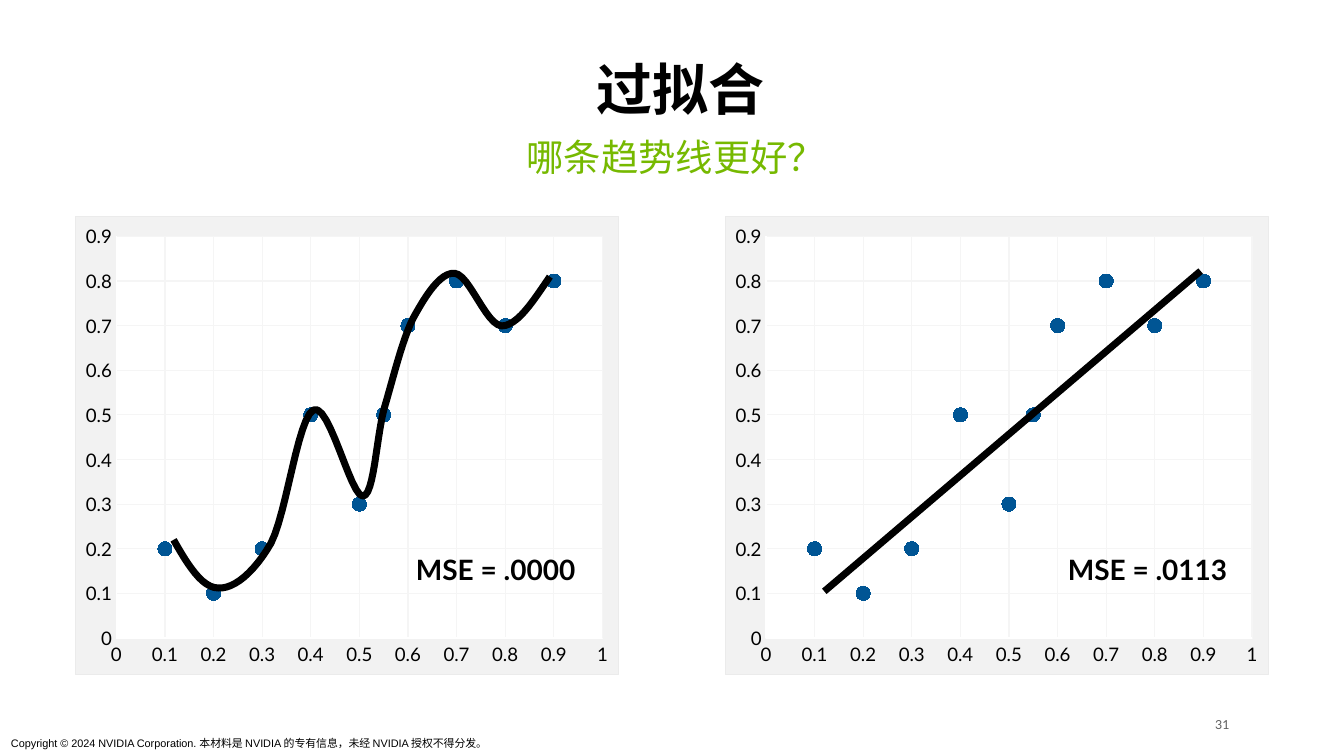
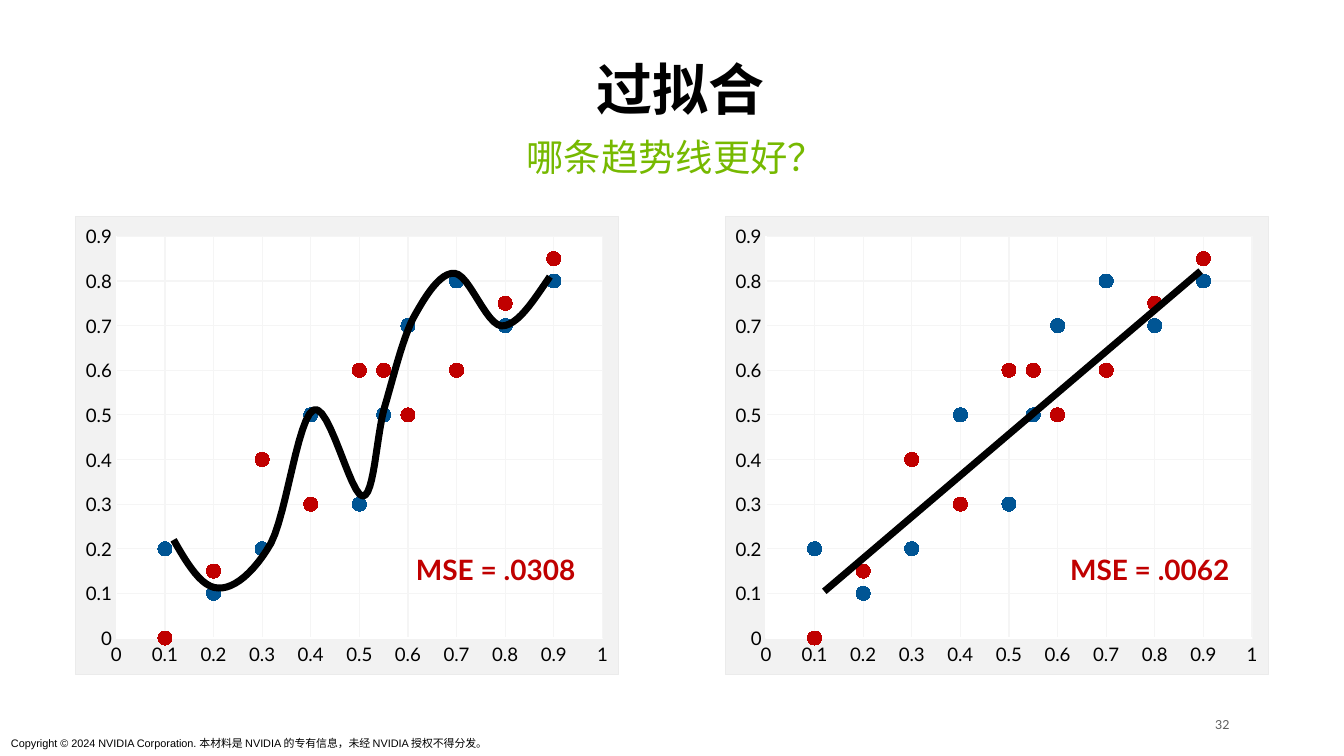
from lxml import etree
from pptx import Presentation
from pptx.chart.data import XyChartData
from pptx.dml.color import RGBColor
from pptx.enum.chart import XL_CHART_TYPE as CT, XL_MARKER_STYLE as MS, XL_TICK_MARK as TM
from pptx.enum.shapes import MSO_CONNECTOR as MC
from pptx.enum.text import MSO_ANCHOR as MA, PP_ALIGN as PA
from pptx.oxml import parse_xml
from pptx.oxml.ns import nsdecls, qn
from pptx.util import Inches, Pt

BLACK, GRAY, GREEN, BLUE, RED = "000000", "5E5E5E", "76B900", "005594", "C00000"
PANEL, BORDER, PLOT, GRID = "F2F2F2", "EBEBEB", "FFFFFF", "F5F5F5"
COPYRIGHT = "Copyright © 2024 NVIDIA Corporation. 本材料是 NVIDIA 的专有信息，未经 NVIDIA 授权不得分发。"

XS = [0.1, 0.2, 0.3, 0.4, 0.5, 0.6, 0.55, 0.7, 0.8, 0.9]
TRAIN = ("Series 1", BLUE, [0.2, 0.1, 0.2, 0.5, 0.3, 0.7, 0.5, 0.8, 0.7, 0.8])
TEST = ("Series 2", RED, [0, 0.15, 0.4, 0.3, 0.6, 0.5, 0.6, 0.6, 0.75, 0.85])
PAGES = [
    (31, [TRAIN], BLACK, [("MSE = .0000", 3.6), ("MSE = .0113", 9.42)]),
    (32, [TRAIN, TEST], RED, [("MSE = .0308", 3.6), ("MSE = .0062", 9.44)]),
]

CURVE_START = (1.55, 4.82)
CURVE = [
    ((1.67, 5.03), (1.8, 5.25), (1.95, 5.25)),
    ((2.09, 5.26), (2.27, 5.11), (2.42, 4.85)),
    ((2.56, 4.58), (2.66, 3.73), (2.8, 3.66)),
    ((2.94, 3.59), (3.13, 4.43), (3.24, 4.43)),
    ((3.34, 4.43), (3.36, 3.91), (3.43, 3.65)),
    ((3.51, 3.38), (3.59, 3.04), (3.69, 2.84)),
    ((3.8, 2.64), (3.93, 2.43), (4.06, 2.44)),
    ((4.19, 2.45), (4.34, 2.9), (4.48, 2.91)),
    ((4.62, 2.91), (4.76, 2.69), (4.91, 2.47)),
]
STEPS = 12
curve_points = []
a = CURVE_START
for b, c, d in CURVE:
    for t in [i / STEPS for i in range(1, STEPS + 1)]:
        u = 1 - t
        curve_points.append([
            Inches(u**3 * a[k] + 3 * u * u * t * b[k] + 3 * u * t * t * c[k] + t**3 * d[k])
            for k in (0, 1)
        ])
    a = d

LAYOUT = (
    f'<c:layout {nsdecls("c")}><c:manualLayout><c:layoutTarget val="inner"/>'
    '<c:xMode val="edge"/><c:yMode val="edge"/><c:x val="0.075"/><c:y val="0.043"/>'
    '<c:w val="0.895"/><c:h val="0.877"/></c:manualLayout></c:layout>'
)
AREA = (
    f'<c:spPr {nsdecls("c", "a")}><a:solidFill><a:srgbClr val="%s"/></a:solidFill>'
    '<a:ln w="9525"><a:solidFill><a:srgbClr val="%s"/></a:solidFill></a:ln></c:spPr>'
)


def rgb(value):
    return RGBColor.from_string(value)


def add_text(s, text, x, y, w, h, size, color=BLACK, font="Lato", bold=False,
             align=PA.CENTER, anchor=MA.TOP, wrap=True, spacing=0.9, inset=None):
    tf = s.shapes.add_textbox(Inches(x), Inches(y), Inches(w), Inches(h)).text_frame
    tf.word_wrap, tf.vertical_anchor = wrap, anchor
    if inset is not None:
        tf.margin_left = tf.margin_right = tf.margin_top = tf.margin_bottom = Inches(inset)
    p = tf.paragraphs[0]
    p.alignment, p.line_spacing = align, spacing
    r = p.add_run()
    r.text = text
    r.font.size, r.font.name, r.font.bold = Pt(size), font, bold
    r.font.color.rgb = rgb(color)


prs = Presentation()
prs.slide_width, prs.slide_height = Inches(12), Inches(6.75)

for number, groups, mse_color, labels in PAGES:
    s = prs.slides.add_slide(prs.slide_layouts[6])
    add_text(s, str(number), 10.68, 6.38, 0.3, 0.18, 8, GRAY, align=PA.RIGHT,
             anchor=MA.MIDDLE, spacing=1.0, inset=0)
    add_text(s, COPYRIGHT, 0, 6.53, 4.53, 0.22, 7, font="Arial", align=PA.LEFT,
             wrap=False, spacing=1.0)
    add_text(s, "过拟合", 0.62, 0.49, 10.91, 0.65, 36, bold=True, anchor=MA.BOTTOM)
    add_text(s, "哪条趋势线更好？", 0.58, 1.19, 10.91, 0.57, 24, GREEN)

    data = XyChartData()
    for name, color, ys in groups:
        series = data.add_series(name)
        for x, y in zip(XS, ys):
            series.add_data_point(x, y)

    for left in (0.67, 6.47):
        chart = s.shapes.add_chart(CT.XY_SCATTER, Inches(left), Inches(1.93),
                                   Inches(4.86), Inches(4.1), data).chart
        chart.has_title = chart.has_legend = False
        chart.font.size, chart.font.name = Pt(10), "Lato"
        chart.font.color.rgb = rgb(BLACK)
        plot = chart.plots[0]
        plot.vary_by_categories = False
        for series, (name, color, ys) in zip(plot.series, groups):
            series.format.line.fill.background()
            marker = series.marker
            marker.style, marker.size = MS.CIRCLE, 9
            marker.format.fill.solid()
            marker.format.fill.fore_color.rgb = rgb(color)
            marker.format.line.color.rgb = rgb(color)
        for axis, top in ((chart.category_axis, 1), (chart.value_axis, 0.9)):
            axis.minimum_scale, axis.maximum_scale, axis.major_unit = 0, top, 0.1
            axis.major_tick_mark = axis.minor_tick_mark = TM.NONE
            axis.has_major_gridlines = True
            axis.tick_labels.number_format = "General"
            axis.tick_labels.number_format_is_linked = False
            axis.tick_labels.font.size, axis.tick_labels.font.name = Pt(12), "Lato"
            axis.tick_labels.font.color.rgb = rgb(BLACK)
            for line, color in ((axis.format.line, PLOT), (axis.major_gridlines.format.line, GRID)):
                line.color.rgb, line.width = rgb(color), Pt(0.75)
        body = chart.element.find(qn("c:chart"))
        body.addnext(parse_xml(AREA % (PANEL, BORDER)))
        area = body.find(qn("c:plotArea"))
        for old in area.findall(qn("c:layout")):
            area.remove(old)
        area.insert(0, parse_xml(LAYOUT))
        area.append(parse_xml(AREA % (PLOT, PLOT)))

    for label, left in labels:
        add_text(s, label, left, 4.92, 1.65, 0.37, 18, mse_color, bold=True,
                 anchor=MA.MIDDLE, wrap=False)

    trend = s.shapes.add_connector(MC.STRAIGHT, Inches(7.36), Inches(5.28),
                                   Inches(10.72), Inches(2.42))
    etree.SubElement(trend.element.spPr, qn("a:effectLst"))
    fb = s.shapes.build_freeform(Inches(CURVE_START[0]), Inches(CURVE_START[1]))
    fb.add_line_segments(curve_points, close=False)
    curve = fb.convert_to_shape()
    curve.shadow.inherit = False
    curve.fill.background()
    for sp in (trend, curve):
        sp.line.color.rgb, sp.line.width = rgb(BLACK), Pt(4.5)

prs.save("out.pptx")
